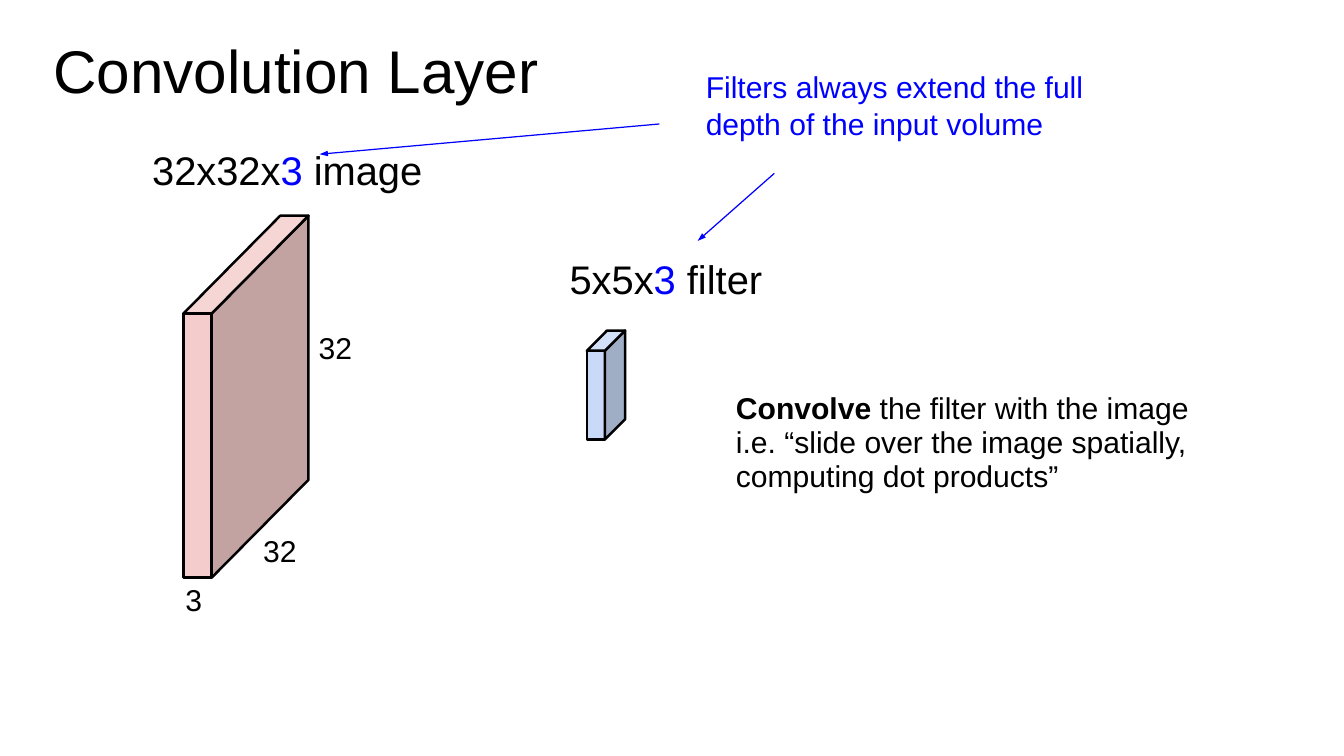
from lxml import etree
from pptx import Presentation
from pptx.dml.color import RGBColor
from pptx.enum.shapes import MSO_CONNECTOR
from pptx.enum.text import MSO_ANCHOR, MSO_AUTO_SIZE, PP_ALIGN
from pptx.oxml.ns import qn
from pptx.util import Inches, Pt

STRAIGHT = MSO_CONNECTOR.STRAIGHT
TOP = MSO_ANCHOR.TOP
NO_AUTOFIT = MSO_AUTO_SIZE.NONE
LEFT = PP_ALIGN.LEFT

BLACK = RGBColor(0x00, 0x00, 0x00)
BLUE = RGBColor(0x00, 0x00, 0xFF)
# Front, side and top faces
IMAGE_FACES = (RGBColor(0xF4, 0xCC, 0xCC), RGBColor(0xC3, 0xA2, 0xA2),
               RGBColor(0xF6, 0xD5, 0xD5))
FILTER_FACES = (RGBColor(0xC8, 0xDA, 0xF7), RGBColor(0x9F, 0xAD, 0xC5),
                RGBColor(0xD2, 0xE0, 0xF8))

FONT = "Arial"
TITLE_SIZE, HEADING_SIZE, BODY_SIZE = 43, 28.5, 21.5


def format_frame(frame):
    frame.auto_size = NO_AUTOFIT
    frame.word_wrap = True
    frame.vertical_anchor = TOP
    frame.margin_left = frame.margin_right = 0
    frame.margin_top = frame.margin_bottom = 0


def format_paragraph(paragraph, size, line_spacing, color=BLACK):
    paragraph.alignment = LEFT
    paragraph.line_spacing = Pt(line_spacing)
    paragraph.font.name = FONT
    paragraph.font.size = Pt(size)
    paragraph.font.color.rgb = color


def add_title(slide, text):
    title = slide.shapes.title
    title.left, title.top = Inches(0.53), Inches(0.42)
    title.width, title.height = Inches(6), Inches(0.65)
    title.text = text
    format_frame(title.text_frame)
    format_paragraph(title.text_frame.paragraphs[0], TITLE_SIZE, 45)


def add_text(slide, left, top, width, height, lines, size=BODY_SIZE,
             line_spacing=22.9, color=BLACK):
    """Add a text box with one paragraph per line; return its paragraphs."""
    box = slide.shapes.add_textbox(Inches(left), Inches(top),
                                   Inches(width), Inches(height))
    frame = box.text_frame
    frame.text = "\n".join(lines)
    format_frame(frame)
    for paragraph in frame.paragraphs:
        format_paragraph(paragraph, size, line_spacing, color)
    return frame.paragraphs


def add_volume_heading(slide, left, top, spatial_size, noun):
    """Name a volume, with its depth of 3 picked out in blue."""
    heading = add_text(slide, left, top, 2.9, 0.42, [spatial_size],
                       HEADING_SIZE, 30.2)[0]
    depth = heading.add_run()
    depth.text = "3"
    depth.font.color.rgb = BLUE
    heading.add_run().text = f" {noun}"


def add_face(slide, corners, color):
    points = [(Inches(x), Inches(y)) for x, y in corners]
    builder = slide.shapes.build_freeform(*points[0])
    builder.add_line_segments(points[1:], close=True)
    face = builder.convert_to_shape()
    face.shadow.inherit = False
    face.fill.solid()
    face.fill.fore_color.rgb = color
    face.line.color.rgb = BLACK
    face.line.width = Pt(1.79)


def add_volume(slide, left, top, width, height, shift, rise, colors):
    """Draw a box whose back edge is moved right by shift and up by rise."""
    right, bottom = left + width, top + height
    back_left, back_right, back_top = left + shift, right + shift, top - rise
    front = [(left, top), (right, top), (right, bottom), (left, bottom)]
    side = [(right, top), (back_right, back_top),
            (back_right, bottom - rise), (right, bottom)]
    lid = [(left, top), (back_left, back_top),
           (back_right, back_top), (right, top)]
    for corners, color in zip((front, side, lid), colors):
        add_face(slide, corners, color)


def add_arrow(slide, x1, y1, x2, y2):
    arrow = slide.shapes.add_connector(STRAIGHT, Inches(x1), Inches(y1),
                                       Inches(x2), Inches(y2))
    arrow.line.color.rgb = BLUE
    arrow.line.width = Pt(0.89)
    etree.SubElement(arrow.line._get_or_add_ln(), qn("a:tailEnd"),
                     type="triangle", w="sm", len="med")
    etree.SubElement(arrow._element.spPr, qn("a:effectLst"))


def main():
    presentation = Presentation()
    presentation.slide_width = Inches(13.33)
    presentation.slide_height = Inches(7.5)
    slide = presentation.slides.add_slide(presentation.slide_layouts[5])

    add_title(slide, "Convolution Layer")

    add_volume(slide, 1.82, 3.11, 0.28, 2.62, 0.96, 0.97, IMAGE_FACES)
    add_volume_heading(slide, 1.51, 1.5, "32x32x", "image")
    for left, top, label in ((3.16, 3.31, "32"), (2.61, 5.32, "32"),
                             (1.84, 5.81, "3")):
        add_text(slide, left, top, 0.4, 0.33, [label])

    add_volume(slide, 5.82, 3.48, 0.18, 0.88, 0.2, 0.2, FILTER_FACES)
    add_volume_heading(slide, 5.65, 2.58, "5x5x", "filter")

    add_text(slide, 7, 0.67, 3.95, 0.75,
             ["Filters always extend the full depth of the input volume"],
             line_spacing=26.4, color=BLUE)
    add_arrow(slide, 6.54, 1.23, 3.17, 1.53)
    add_arrow(slide, 7.68, 1.72, 6.92, 2.39)

    convolve = add_text(
        slide, 7.3, 3.88, 4.7, 1.05,
        ["", "i.e. “slide over the image spatially, computing dot products”"],
        line_spacing=24.3)[0]
    verb = convolve.add_run()
    verb.text = "Convolve"
    verb.font.bold = True
    convolve.add_run().text = " the filter with the image"

    presentation.save("out.pptx")


if __name__ == "__main__":
    main()
